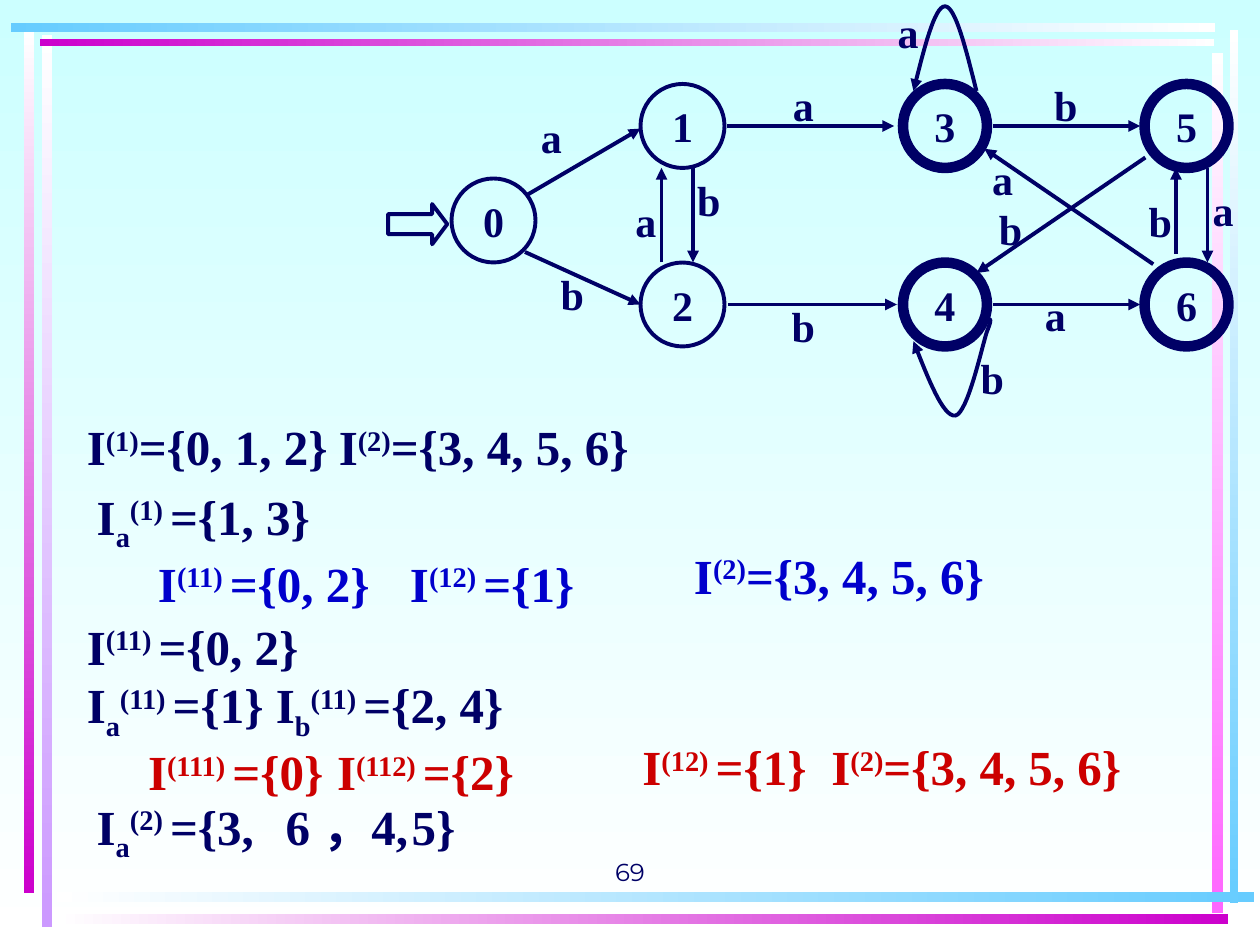
from dataclasses import dataclass

from lxml.etree import SubElement
from pptx import Presentation
from pptx.dml.color import RGBColor
from pptx.enum.shapes import MSO_CONNECTOR as Link, MSO_SHAPE as Shape
from pptx.enum.text import MSO_ANCHOR as Anchor, PP_ALIGN as Align
from pptx.oxml.ns import qn
from pptx.util import Pt


@dataclass(frozen=True)
class Theme:
    navy: str = "000066"
    blue: str = "0000CC"
    red: str = "CC0000"
    white: str = "FFFFFF"
    mist: str = "CCFFFF"
    sky: str = "66CCFF"
    magenta: str = "CC00CC"
    pink: str = "FF66FF"
    lilac: str = "CC99FF"
    serif: str = "Times New Roman"
    sans: str = "Montserrat"
    formula: float = 28
    label: float = 24
    number: float = 14
    thin: float = 2.25
    thick: float = 6


theme = Theme()


def write(para, markup, size, color=theme.navy, font=theme.serif, bold=True):
    """Add runs split at |; a leading ^ raises a run and a leading _ lowers it."""
    for piece in markup.split("|"):
        span = para.add_run()
        span.text = piece.lstrip("^_")
        span.font.size = Pt(size)
        span.font.name = font
        span.font.bold = bold
        span.font.color.rgb = RGBColor.from_string(color)
        if piece[0] in "^_":
            baseline = "30000" if piece[0] == "^" else "-25000"
            span._r.get_or_add_rPr().set("baseline", baseline)


def stroke(shape, width=theme.thin, arrow=False):
    """Give a navy outline without shadow, with an arrowhead at the end if asked."""
    shape.line.color.rgb = RGBColor.from_string(theme.navy)
    shape.line.width = Pt(width)
    props = shape._element.spPr
    if arrow:
        SubElement(props.find(qn("a:ln")), qn("a:tailEnd"), type="triangle")
    SubElement(props, qn("a:effectLst"))


deck = Presentation()
deck.slide_width, deck.slide_height = Pt(720), Pt(540)
page = deck.slides.add_slide(deck.slide_layouts[6])
shapes = page.shapes

# Background and frame bars: left, top, width, height, first and last colour
bars = [
    (23.8, 20.2, 5.8, 509.8, theme.white, theme.lilac),
    (13.7, 18, 5.8, 492.5, theme.white, theme.magenta),
    (702.7, 17.3, 5, 499, theme.white, theme.sky),
    (692.6, 30.2, 6.5, 491.8, theme.white, theme.pink),
    (32.4, 509.8, 684, 5.8, theme.white, theme.sky),
    (32.4, 522, 669.6, 5.8, theme.white, theme.magenta),
    (23, 22.3, 671, 4.3, theme.magenta, theme.white),
    (6.1, 13.3, 688.3, 5, theme.sky, theme.white),
]
gradients = [(page.background.fill, 270, theme.mist, theme.white)]
for left, top, width, height, first, last in bars:
    bar = shapes.add_shape(Shape.RECTANGLE, Pt(left), Pt(top), Pt(width), Pt(height))
    bar.line.fill.background()
    bar.shadow.inherit = False
    gradients.append((bar.fill, 0 if width > height else 270, first, last))
for fill, angle, *colors in gradients:
    fill.gradient()
    fill.gradient_angle = angle
    for stop, color in zip(fill.gradient_stops, colors):
        stop.color.rgb = RGBColor.from_string(color)

# Page number
box = shapes.add_textbox(Pt(246), Pt(474), Pt(228), Pt(36))
box.text_frame.word_wrap = True
box.text_frame.vertical_anchor = Anchor.BOTTOM
para = box.text_frame.paragraphs[0]
para.alignment = Align.CENTER
write(para, "69", theme.number, font=theme.sans, bold=False)

# Partition steps: box, then paragraphs of markup, colour, indent and tab stops
formulas = [
    ((42.5, 234.7, 414, 41), [
        ("I|^(1)|={0, 1, 2}\tI|^(2)|={3, 4, 5, 6}", theme.navy, 0, [158.5])]),
    ((48.2, 274.3, 619, 79), [
        ("I|_a|^(1) |={1, 3}", theme.navy, 0, []),
        ("I|^(11) |={0, 2}\tI|^(12) |={1}", theme.blue, 35, [176.5])]),
    ((389.5, 308.2, 221, 41), [
        ("I|^(2)|={3, 4, 5, 6}", theme.blue, 0, [])]),
    ((42.5, 348.5, 619, 113), [
        ("I|^(11) |={0, 2}", theme.navy, 0, []),
        ("I|_a|^(11) |={1} I|_b|^(11) |={2, 4}", theme.navy, 0, []),
        ("I|^(111) |={0}\tI|^(112) |={2}", theme.red, 35, [156])]),
    ((360, 417.6, 329, 41), [
        ("I|^(12) |={1}\tI|^(2)|={3, 4, 5, 6}", theme.red, 0, [113.5])]),
    ((48.2, 451.4, 454, 45), [
        ("I|_a|^(2) |={3,\t6 ，4,\t5}", theme.navy, 0, [103.5, 200.5])]),
]
for place, lines in formulas:
    box = shapes.add_textbox(*map(Pt, place))
    frame = box.text_frame
    frame.word_wrap = True
    for index, (markup, color, indent, stops) in enumerate(lines):
        para = frame.add_paragraph() if index else frame.paragraphs[0]
        props = para._p.get_or_add_pPr()
        props.set("marL", str(Pt(indent)))
        props.set("indent", "0")
        if stops:
            tabs = SubElement(props, qn("a:tabLst"))
            for stop in stops:
                SubElement(tabs, qn("a:tab"), pos=str(Pt(stop)), algn="l")
        write(para, markup, theme.formula, color)

# States, by centre; accepting ones have a thick ring
diameter = 48
upper, middle, lower = 72, 126, 174
states = [(282, middle), (390, upper), (390, lower), (540, upper),
          (540, lower), (678, upper), (678, lower)]
captions = []
for number, (x, y) in enumerate(states):
    state = shapes.add_shape(Shape.OVAL, Pt(x - diameter / 2), Pt(y - diameter / 2),
                             Pt(diameter), Pt(diameter))
    state.fill.background()
    stroke(state, theme.thick if number >= 3 else theme.thin)
    captions.append((state, str(number)))

# Transitions: start and end points
transitions = [
    (301, 111.5, 366, 73.5), (300, 144, 366, lower),
    (415.5, upper, 511, upper), (567.5, upper, 651.5, upper),
    (416, lower, 512.5, lower), (567.5, lower, 651.5, lower),
    (396, 96, 396, 150), (378, 150, 378, 96),
    (672, 145, 672, 96), (690, 96, 690, 150),
    (654.5, 90, 558, 156), (659, 151, 562.5, 85),
]
for ends in transitions:
    stroke(shapes.add_connector(Link.STRAIGHT, *map(Pt, ends)), arrow=True)

# Self-loops: start point, then cubic segments of two controls and an end
loops = [
    [(558, 52), (552, 28), (546, 3.6), (540, 3.6),
     (534, 3.6), (528, 28), (522, 52)],
    [(564, 183.6), (565.5, 182), (567.5, 181), (564, 189.5),
     (561, 198.7), (553, 236), (546, 237.5),
     (539, 238.5), (530.5, 216.7), (522, 195)],
]
steps = 16
for curve in loops:
    points = []
    for start in range(0, len(curve) - 1, 3):
        for step in range(1, steps + 1):
            t = step / steps
            weights = ((1 - t) ** 3, 3 * t * (1 - t) ** 2, 3 * t * t * (1 - t), t ** 3)
            points.append(tuple(
                Pt(sum(w * p[axis] for w, p in zip(weights, curve[start:start + 4])))
                for axis in (0, 1)))
    builder = shapes.build_freeform(*map(Pt, curve[0]))
    builder.add_line_segments(points, close=False)
    loop = builder.convert_to_shape()
    loop.fill.background()
    stroke(loop, arrow=True)

# Transition letters, by the corner of their boxes
letters = {
    "a": [(294, 60), (438, 42), (582, 162), (348, 108), (678, 102), (552, 84), (498, 0)],
    "b": [(588, 42), (306, 150), (438, 168), (384, 96), (642, 108), (556.5, 113),
          (546, 198)],
}
for letter, corners in letters.items():
    for left, top in corners:
        box = shapes.add_textbox(Pt(left), Pt(top), Pt(42), Pt(36))
        captions.append((box, letter))

for holder, caption in captions:
    frame = holder.text_frame
    frame.word_wrap = False
    frame.vertical_anchor = Anchor.MIDDLE
    para = frame.paragraphs[0]
    para.alignment = Align.CENTER
    write(para, caption, theme.label)

# Start arrow
entry = shapes.add_shape(Shape.RIGHT_ARROW, Pt(221.8), Pt(116.6), Pt(33.8), Pt(23))
entry.adjustments[0], entry.adjustments[1] = 0.5, 0.375
entry.fill.background()
stroke(entry)

deck.save("out.pptx")
